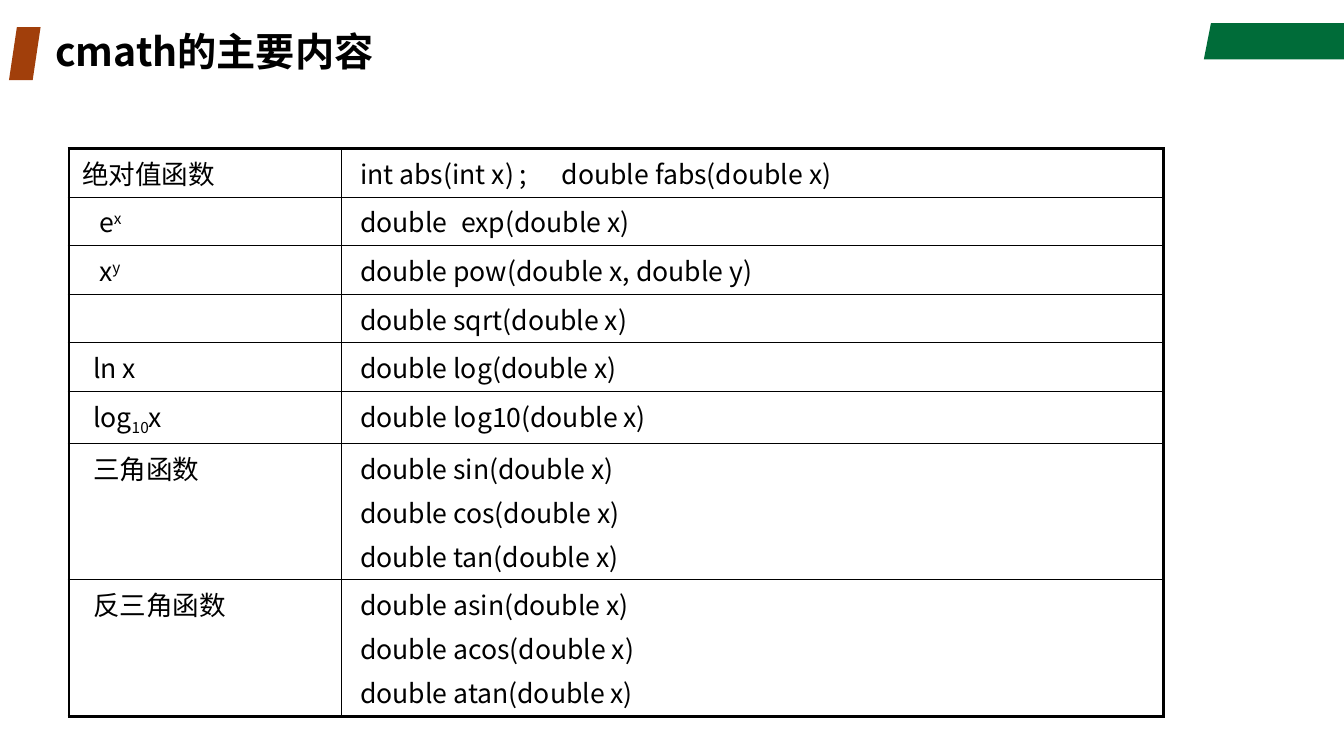
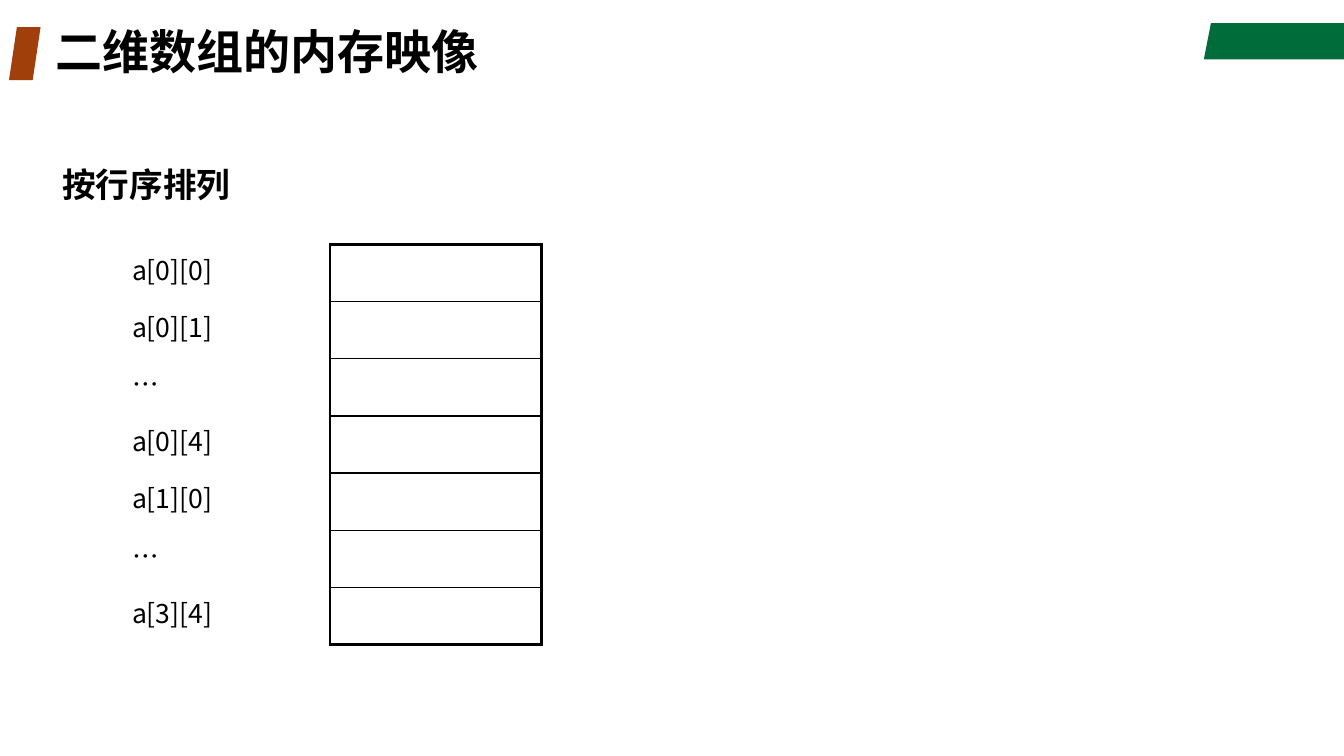
import pptx
import pptx.dml.color
import pptx.enum.shapes
import pptx.enum.text
import pptx.oxml.ns
import pptx.util
import lxml.etree

GREEN = pptx.dml.color.RGBColor(0x00, 0x6C, 0x39)
RUST = pptx.dml.color.RGBColor(0xA1, 0x3F, 0x0B)
BLACK = pptx.dml.color.RGBColor(0x00, 0x00, 0x00)
FONT = "Noto Sans CJK SC"
THIN, THICK = 1, 2.25


def sub(node, tag, **attrs):
    return lxml.etree.SubElement(node, pptx.oxml.ns.qn(tag), **attrs)


def write(frame, lines, size=19, bold=False, gap=0, lead=None, indent=0, tab=None):
    frame.word_wrap = True
    for i, line in enumerate(lines):
        para = frame.add_paragraph() if i else frame.paragraphs[0]
        para.space_before = pptx.util.Pt(gap)
        if lead:
            para.line_spacing = lead
        props = para._p.get_or_add_pPr()
        props.set("marL", str(pptx.util.Inches(indent)))
        props.set("indent", "0")
        if tab:
            stops = sub(props, "a:tabLst")
            sub(stops, "a:tab", pos=str(pptx.util.Inches(tab)), algn="l")
        for text, base in [(line, 0)] if isinstance(line, str) else line:
            run = para.add_run()
            run.text = text
            run.font.size = pptx.util.Pt(size)
            run.font.bold = bold
            run.font.name = FONT
            run.font.color.rgb = BLACK
            marks = run._r.get_or_add_rPr()
            sub(marks, "a:ea", typeface=FONT)
            if base:
                marks.set("baseline", str(base * 1000))


class Deck:
    def __init__(self):
        self.file = pptx.Presentation()
        self.file.slide_width = pptx.util.Inches(13.33)
        self.file.slide_height = pptx.util.Inches(7.5)
        self.slide = None

    def x(self, share):
        return round(self.file.slide_width * share / 100)

    def y(self, share):
        return round(self.file.slide_height * share / 100)

    def box(self, left, top, width, height):
        return self.x(left), self.y(top), self.x(width), self.y(height)

    def paint(self, shape, color):
        shape.shadow.inherit = False
        shape.fill.solid()
        shape.fill.fore_color.rgb = color
        shape.line.fill.background()

    def page(self, title, size):
        self.slide = self.file.slides.add_slide(self.file.slide_layouts[6])
        self.band()
        self.mark()
        self.text(title, 3.38, 3.6, 70.9, 7.07, size=size, lead=0.9)

    def band(self):
        top, low = self.y(3.07), self.y(7.85)
        pen = self.slide.shapes.build_freeform(self.x(90.1), top)
        pen.add_line_segments([(self.x(100), top), (self.x(100), low), (self.x(89.57), low)])
        self.paint(pen.convert_to_shape(), GREEN)

    def mark(self):
        kind = pptx.enum.shapes.MSO_SHAPE.PARALLELOGRAM
        shape = self.slide.shapes.add_shape(kind, *self.box(0.67, 3.6, 2.35, 7))
        shape.adjustments[0] = 0.25
        self.paint(shape, RUST)

    def text(self, words, left, top, width, height, **style):
        frame = self.slide.shapes.add_textbox(*self.box(left, top, width, height)).text_frame
        frame.vertical_anchor = pptx.enum.text.MSO_ANCHOR.MIDDLE
        write(frame, [words], bold=True, **style)

    def edge(self, cell, sides):
        props = cell._tc.get_or_add_tcPr()
        for side, width in zip("LRTB", sides):
            line = sub(props, "a:ln" + side, w=str(pptx.util.Pt(width)))
            if width:
                fill = sub(line, "a:solidFill")
                sub(fill, "a:srgbClr", val=str(BLACK))
            else:
                sub(line, "a:noFill")

    def table(self, left, top, cols, rows, cells, first=0, pads=(0.13, 0.13)):
        area = self.box(left, top, sum(cols), sum(rows))
        table = self.slide.shapes.add_table(len(rows), len(cols), *area).table
        table.first_row = table.horz_banding = False
        for col, width in zip(table.columns, cols):
            col.width = self.x(width)
        for row, height in zip(table.rows, rows):
            row.height = self.y(height)
        for r, line in enumerate(cells):
            for c, (words, style) in enumerate(line):
                cell = table.cell(r, c)
                if c < first:
                    sides = (0, THIN if c + 1 == first else 0, 0, 0)
                else:
                    sides = (
                        THIN if c else THICK,
                        THICK if c == len(cols) - 1 else THIN,
                        THIN if r else THICK,
                        THICK if r == len(rows) - 1 else THIN,
                    )
                self.edge(cell, sides)
                cell.fill.background()
                cell.margin_left = pptx.util.Inches(pads[c])
                cell.margin_right = pptx.util.Inches(0.13)
                write(cell.text_frame, words, gap=4, **style)


def maths(deck):
    deck.page("cmath的主要内容", 28)
    near, far = {"indent": 0.11}, {"indent": 0.17}
    items = [
        (["绝对值函数"], {}, ["int abs(int x) ;\tdouble fabs(double x)"], {"tab": 1.8}),
        ([[("e", 0), ("x", 30)]], far, ["double\texp(double x)"], {"tab": 0.97}),
        ([[("x", 0), ("y", 30)]], far, ["double pow(double x, double y)"], {}),
        ([], {}, ["double sqrt(double x)"], {}),
        (["ln x"], near, ["double log(double x)"], {}),
        ([[("log", 0), ("10", -25), ("x", 0)]], near, ["double log10(double x)"], {}),
        (["三角函数"], near, [f"double {f}(double x)" for f in ("sin", "cos", "tan")], {}),
        (["反三角函数"], near, [f"double {f}(double x)" for f in ("asin", "acos", "atan")], {}),
    ]
    cells = [((name, left), (code, right)) for name, left, code, right in items]
    rows = [6.42] * 5 + [6.88] + [18.05] * 2
    deck.table(5.13, 19.66, [20.25, 61.2], rows, cells, pads=(0.13, 0.19))


def memory(deck):
    deck.page("二维数组的内存映像", 33.6)
    names = ["a[0][0]", "a[0][1]", "…", "a[0][4]", "a[1][0]", "…", "a[3][4]"]
    cells = [(([name], {}), ([], {})) for name in names]
    deck.table(8.85, 32.34, [15.71] * 2, [7.56] * len(names), cells, first=1)
    deck.text("按行序排列", 3.9, 21.07, 62.1, 6.67, size=24)


def main():
    deck = Deck()
    maths(deck)
    memory(deck)
    deck.file.save("out.pptx")


if __name__ == "__main__":
    main()
